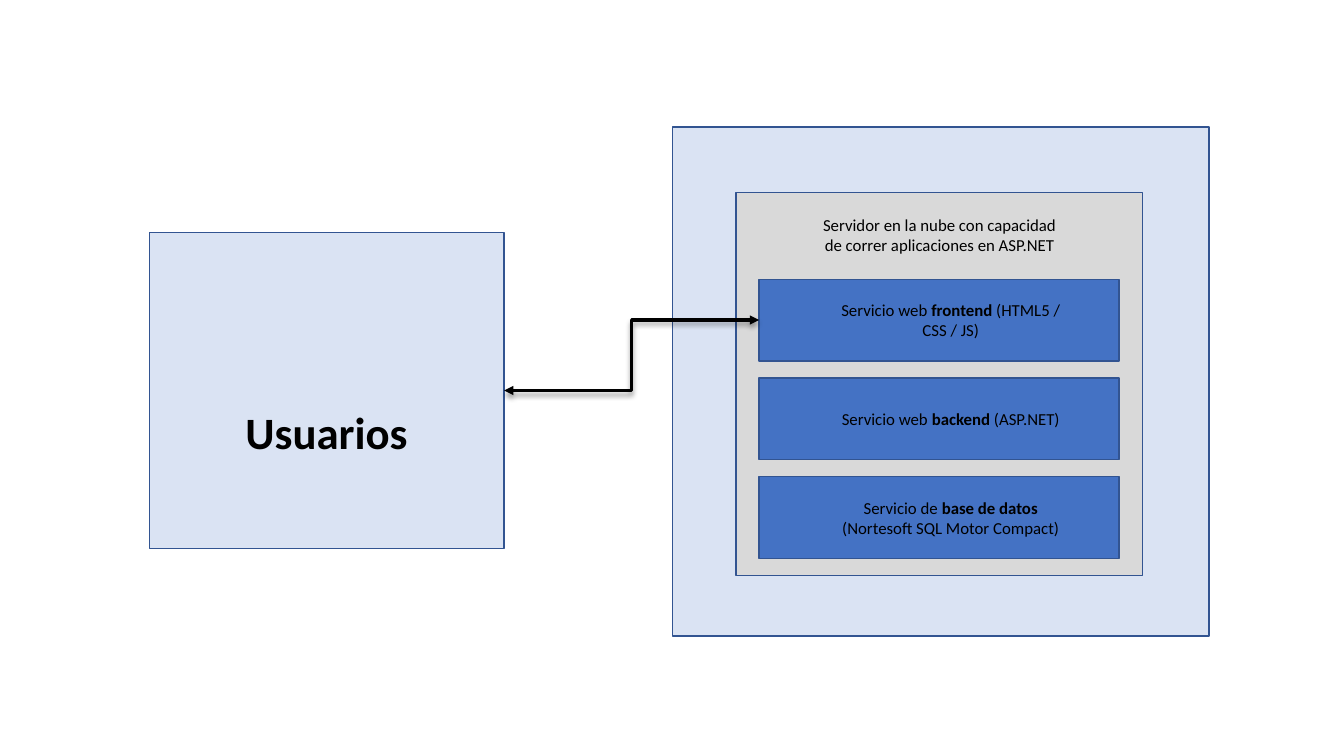
from lxml import etree
from pptx import Presentation
from pptx.dml.color import RGBColor
from pptx.enum.shapes import MSO_CONNECTOR as Connector, MSO_SHAPE as Shape
from pptx.enum.text import MSO_AUTO_SIZE as AutoSize, PP_ALIGN as Align
from pptx.oxml import parse_xml
from pptx.oxml.ns import nsdecls, qn
from pptx.util import Inches, Pt

# Content: labels are lists of (text, bold)
USERS = [("Usuarios", True)]
SERVER = [("Servidor en la nube con capacidad de correr aplicaciones en ASP.NET", False)]
SERVICES = [  # label, height of its text box
    ([("Servicio web ", False), ("frontend", True), (" (HTML5 / CSS / JS)", False)], 0.5),
    ([("Servicio web ", False), ("backend", True), (" (ASP.NET)", False)], 0.3),
    ([("Servicio de ", False), ("base de datos ", True),
      ("(Nortesoft SQL Motor Compact)", False)], 0.5),
]

THEME = {
    "font": "Calibri", "text": "000000", "body": 12, "heading": 32,
    "panel": "DAE3F3", "server": "D9D9D9", "service": "4472C4",
    "border": "325491", "border_width": 1, "arrow": "000000", "arrow_width": 2.25,
}

# Layout in inches
USERS_BOX = (1.48, 2.31, 3.52, 3.13)
CLOUD_BOX = (6.67, 1.26, 5.32, 5.05)
SERVER_BOX = (7.3, 1.91, 4.03, 3.8)
SERVICE_LEFT, SERVICE_TOP, SERVICE_STEP = 7.53, 2.77, 0.98
SERVICE_WIDTH, SERVICE_HEIGHT = 3.57, 0.81
LABEL_WIDTH, SERVICE_LABEL_LEFT = 2.54, 8.16

prs = Presentation()
prs.slide_width, prs.slide_height = Inches(13.33), Inches(7.5)
slide = prs.slides.add_slide(prs.slide_layouts[6])


def color(name):
    return RGBColor.from_string(THEME[name])


def add_box(place, fill):
    box = slide.shapes.add_shape(Shape.RECTANGLE, *map(Inches, place))
    box.shadow.inherit = False
    box.fill.solid()
    box.fill.fore_color.rgb = color(fill)
    box.line.color.rgb = color("border")
    box.line.width = Pt(THEME["border_width"])
    return box


def add_label(parts, left, top, height, size="body"):
    place = (left, top, LABEL_WIDTH, height)
    frame = slide.shapes.add_textbox(*map(Inches, place)).text_frame
    frame.word_wrap = True
    frame.auto_size = AutoSize.SHAPE_TO_FIT_TEXT
    paragraph = frame.paragraphs[0]
    paragraph.alignment = Align.CENTER
    for text, bold in parts:
        run = paragraph.add_run()
        run.text = text
        run.font.name = THEME["font"]
        run.font.size = Pt(THEME[size])
        run.font.bold = bold
        run.font.color.rgb = color("text")


def add_double_arrow(start, end):
    arrow = slide.shapes.add_connector(Connector.ELBOW, 0, 0, 0, 0)
    arrow.begin_connect(start, 3)  # right side
    arrow.end_connect(end, 1)  # left side
    arrow.line.color.rgb = color("arrow")
    arrow.line.width = Pt(THEME["arrow_width"])
    outline = arrow.line._get_or_add_ln()
    for tip in ("a:headEnd", "a:tailEnd"):
        etree.SubElement(outline, qn(tip), type="triangle")
    outline.addnext(parse_xml(
        f'<a:effectLst {nsdecls("a")}>'
        f'<a:outerShdw blurRad="{Pt(4)}" dist="{Pt(3)}" dir="5400000" algn="t" rotWithShape="0">'
        f'<a:srgbClr val="{THEME["arrow"]}"><a:alpha val="40000"/></a:srgbClr>'
        '</a:outerShdw></a:effectLst>'))


# Users, cloud and server panels
users = add_box(USERS_BOX, "panel")
add_box(CLOUD_BOX, "panel")
add_box(SERVER_BOX, "server")
add_label(SERVER, 8.05, 2.08, 0.5)
add_label(USERS, 1.97, 3.97, 0.64, "heading")

# Services, each label centred vertically on its box
service_boxes = []
for row, (label, label_height) in enumerate(SERVICES):
    top = SERVICE_TOP + row * SERVICE_STEP
    service_boxes.append(
        add_box((SERVICE_LEFT, top, SERVICE_WIDTH, SERVICE_HEIGHT), "service"))
    label_top = top + (SERVICE_HEIGHT - label_height) / 2
    add_label(label, SERVICE_LABEL_LEFT, label_top, label_height)

# Traffic between the users and the frontend
add_double_arrow(users, service_boxes[0])

prs.save("out.pptx")
